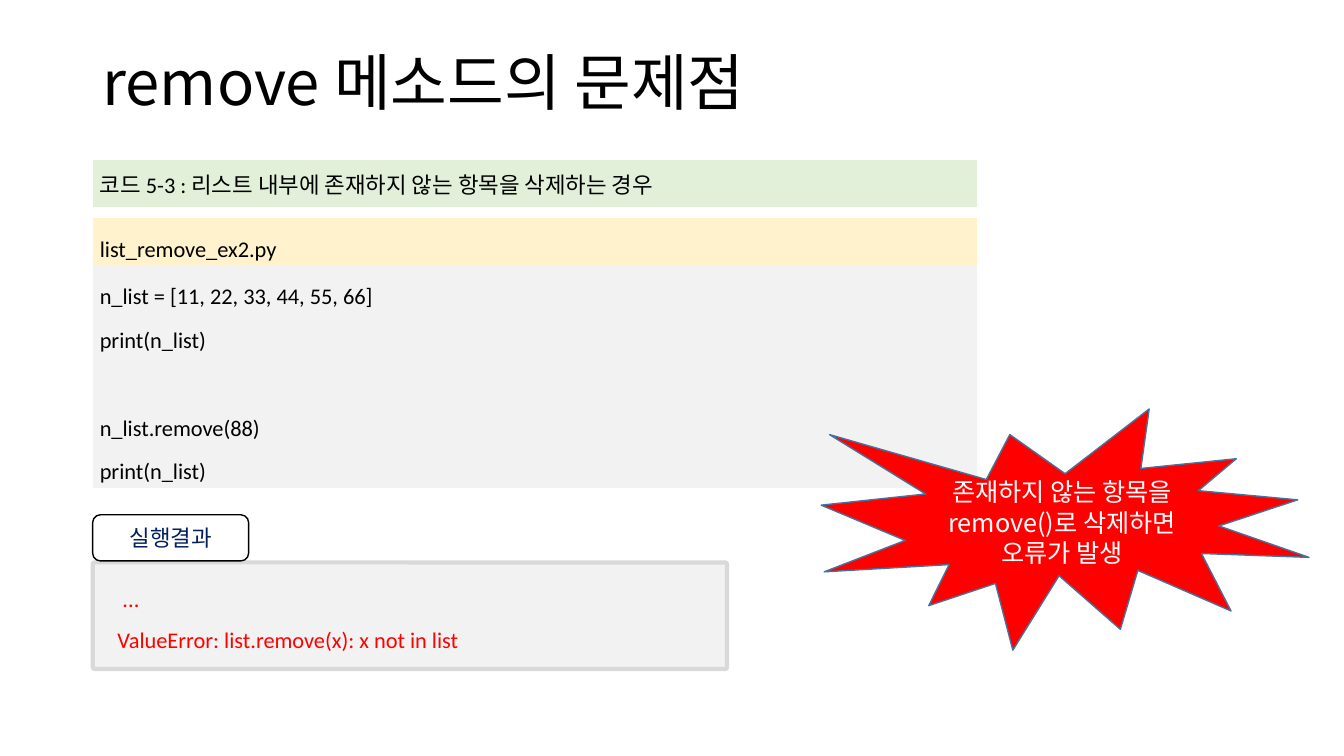
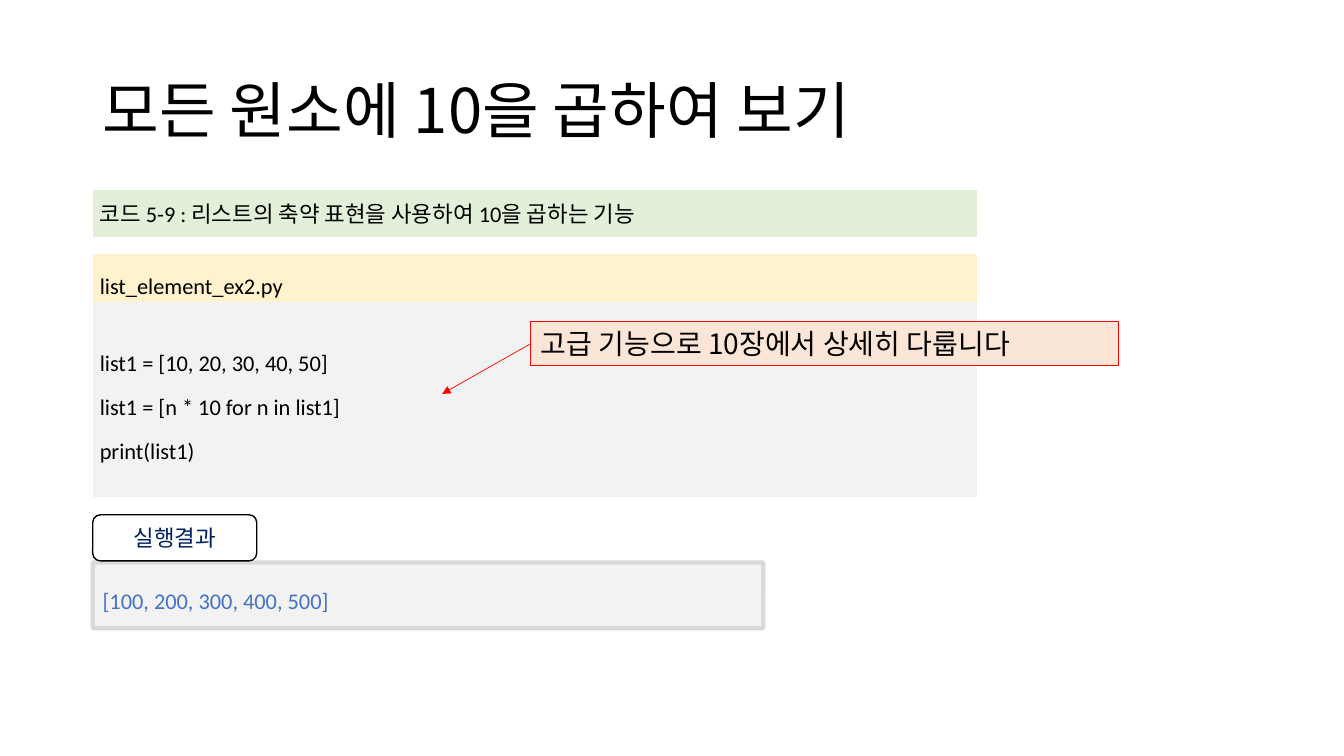
import pptx
import pptx.dml.color
import pptx.enum.shapes
import pptx.enum.text
import pptx.oxml.ns
import pptx.util
import lxml.etree

RGBColor = pptx.dml.color.RGBColor
SHAPE = pptx.enum.shapes.MSO_SHAPE
ALIGN = pptx.enum.text.PP_ALIGN
ANCHOR = pptx.enum.text.MSO_ANCHOR
qn = pptx.oxml.ns.qn

BLACK = RGBColor(0x00, 0x00, 0x00)
WHITE = RGBColor(0xFF, 0xFF, 0xFF)
RED = RGBColor(0xFF, 0x00, 0x00)
BLUE = RGBColor(0x44, 0x72, 0xC4)
NAVY = RGBColor(0x00, 0x20, 0x60)
STEEL = RGBColor(0x43, 0x73, 0x9E)
GREEN = RGBColor(0xE2, 0xF0, 0xD9)
YELLOW = RGBColor(0xFF, 0xF2, 0xCC)
PEACH = RGBColor(0xFB, 0xE5, 0xD6)
PANEL = RGBColor(0xF2, 0xF2, 0xF2)
BORDER = RGBColor(0xD9, 0xD9, 0xD9)

KOREAN = "Noto Sans CJK KR"
LATIN = "Calibri"
CODE_LINE = pptx.util.Pt(31.4)
NO_GRID_STYLE = "{2D5ABB26-0587-4C30-8999-92F81FD0307C}"

presentation = pptx.Presentation()
presentation.slide_width = pptx.util.Inches(13.33)
presentation.slide_height = pptx.util.Inches(7.5)

# Grid: 100 columns by 100 rows
COLUMN = presentation.slide_width / 100
ROW = presentation.slide_height / 100
LEFT = 6.9
TABLE_WIDTH = 65.8
TAB_TOP, TAB_HEIGHT = 68.1, 6.1
PANEL_TOP = 74.4


def write_text(frame, lines, size=16, color=BLACK, font=LATIN, align=ALIGN.LEFT,
               spacing=1.0, anchor=ANCHOR.MIDDLE):
    """Write one paragraph per line; an empty line becomes space before the next."""
    frame.word_wrap = True
    frame.vertical_anchor = anchor
    gap = 0
    paragraph = None
    for line in lines:
        if not line:
            gap += CODE_LINE
            continue
        paragraph = frame.add_paragraph() if paragraph else frame.paragraphs[0]
        paragraph.alignment = align
        paragraph.line_spacing = spacing
        paragraph.space_before = gap
        gap = 0
        run = paragraph.add_run()
        run.text = line
        run.font.size = pptx.util.Pt(size)
        run.font.name = font
        run.font.color.rgb = color
        east_asian = lxml.etree.SubElement(run.font._element, qn("a:ea"))
        east_asian.set("typeface", KOREAN)


def add_box(slide, columns, rows, width, height, kind=None, fill=None, line=None, weight=1):
    """Add a text box, or a filled and outlined preset shape, placed on the grid."""
    place = [round(length) for length in
             (columns * COLUMN, rows * ROW, width * COLUMN, height * ROW)]
    if kind is None:
        return slide.shapes.add_textbox(*place)
    shape = slide.shapes.add_shape(kind, *place)
    shape.shadow.inherit = False
    shape.fill.solid()
    shape.fill.fore_color.rgb = fill
    shape.line.color.rgb = line
    shape.line.width = pptx.util.Pt(weight)
    return shape


lessons = [
    dict(
        title="remove 메소드의 문제점", title_top=1.7, table_top=21.2,
        heights=[6.2, 1.4, 6.2, 29.5],
        caption="코드 5-3 : 리스트 내부에 존재하지 않는 항목을 삭제하는 경우",
        file_name="list_remove_ex2.py",
        code=["n_list = [11, 22, 33, 44, 55, 66]", "print(n_list)", "",
              "n_list.remove(88)", "print(n_list)"],
        tab_width=11.6, panel=(47.2, 14.1),
        output=[" ...", "ValueError: list.remove(x): x not in list"],
        output_color=RED, output_place=(8, 75, 43, 11.7),
    ),
    dict(
        title="모든 원소에 10을 곱하여 보기", title_top=5.3, table_top=25.1,
        heights=[6.2, 2.3, 6.4, 25.8],
        caption="코드 5-9 : 리스트의 축약 표현을 사용하여 10을 곱하는 기능",
        file_name="list_element_ex2.py",
        code=["list1 = [10, 20, 30, 40, 50]", "list1 = [n * 10 for n in list1]",
              "print(list1)"],
        tab_width=12.2, panel=(49.9, 8.7),
        output=["[100, 200, 300, 400, 500]"],
        output_color=BLUE, output_place=(LEFT, 75.3, 45.5, 6.1),
    ),
]

slides = []
for lesson in lessons:
    slide = presentation.slides.add_slide(presentation.slide_layouts[6])
    slides.append(slide)

    # Title
    title = add_box(slide, LEFT, lesson["title_top"], 86.2, 19.3)
    write_text(title.text_frame, [lesson["title"]], size=44, font=KOREAN, spacing=0.9)

    # Code table: caption, gap, file name, code
    heights = lesson["heights"]
    frame = slide.shapes.add_table(
        len(heights), 1, round(LEFT * COLUMN), round(lesson["table_top"] * ROW),
        round(TABLE_WIDTH * COLUMN), round(sum(heights) * ROW))
    table = frame.table
    table.first_row = table.horz_banding = False
    table._tbl.tblPr.find(qn("a:tableStyleId")).text = NO_GRID_STYLE
    contents = [
        ([lesson["caption"]], GREEN, ALIGN.LEFT, 1.0),
        ([], None, ALIGN.LEFT, 1.0),
        ([lesson["file_name"]], YELLOW, ALIGN.JUSTIFY, 1.6),
        (lesson["code"], PANEL, ALIGN.JUSTIFY, 1.6),
    ]
    for index, (lines, fill, align, spacing) in enumerate(contents):
        table.rows[index].height = round(heights[index] * ROW)
        cell = table.cell(index, 0)
        cell.margin_left = cell.margin_right = pptx.util.Inches(0.07)
        cell.margin_top = cell.margin_bottom = pptx.util.Inches(0.02 if lines else 0)
        cell.vertical_anchor = ANCHOR.MIDDLE
        if lines:
            cell.fill.solid()
            cell.fill.fore_color.rgb = fill
            write_text(cell.text_frame, lines, align=align, spacing=spacing)
        else:
            cell.fill.background()
            # A small end mark lets the gap row stay thin
            end_mark = lxml.etree.SubElement(
                cell.text_frame.paragraphs[0]._p, qn("a:endParaRPr"))
            end_mark.set("sz", "400")

    # Result panel with its tab
    panel = add_box(slide, LEFT, PANEL_TOP, *lesson["panel"], kind=SHAPE.ROUNDED_RECTANGLE,
                    fill=PANEL, line=BORDER, weight=3)
    panel.adjustments[0] = 0.02
    tab = add_box(slide, LEFT, TAB_TOP, lesson["tab_width"], TAB_HEIGHT,
                  kind=SHAPE.ROUNDED_RECTANGLE, fill=WHITE, line=BLACK)
    write_text(tab.text_frame, ["실행결과"], color=NAVY, font=KOREAN, align=ALIGN.CENTER)
    output = add_box(slide, *lesson["output_place"])
    write_text(output.text_frame, lesson["output"], color=lesson["output_color"],
               spacing=1.5, anchor=ANCHOR.TOP)

remove_slide, multiply_slide = slides

# Warning burst
burst = add_box(remove_slide, 61.1, 54.1, 36.3, 31.9, kind=SHAPE.EXPLOSION1,
                fill=RED, line=STEEL)
write_text(burst.text_frame, ["존재하지 않는 항목을 remove()로 삭제하면 오류가 발생"],
           size=18, color=WHITE, font=KOREAN, align=ALIGN.CENTER)

# Callout with an arrow to the list expression
callout = add_box(multiply_slide, 39.5, 42.5, 43.7, 5.9, kind=SHAPE.RECTANGLE,
                  fill=PEACH, line=RED, weight=0.75)
write_text(callout.text_frame, ["고급 기능으로 10장에서 상세히 다룹니다"],
           size=20, font=KOREAN)
arrow = multiply_slide.shapes.add_connector(
    pptx.enum.shapes.MSO_CONNECTOR.STRAIGHT, callout.left, callout.top,
    round(32.9 * COLUMN), round(52.1 * ROW))
arrow.begin_connect(callout, 1)
arrow.line.color.rgb = RED
arrow.line.width = pptx.util.Pt(0.5)
arrow_head = lxml.etree.SubElement(arrow.line._get_or_add_ln(), qn("a:tailEnd"))
arrow_head.set("type", "triangle")
lxml.etree.SubElement(arrow._element.spPr, qn("a:effectLst"))

presentation.save("out.pptx")
